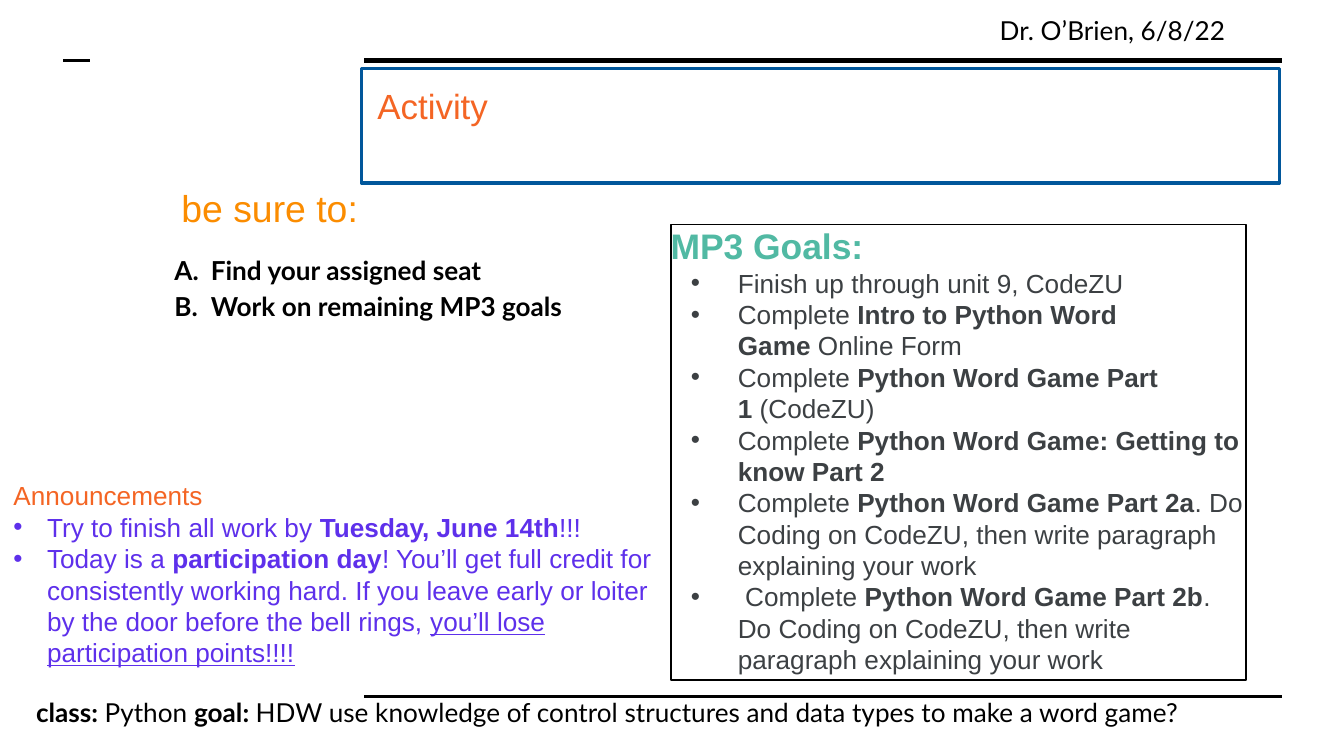
from lxml.etree import SubElement
from pptx import Presentation
from pptx.dml.color import RGBColor
from pptx.enum.shapes import MSO_CONNECTOR as Connector, MSO_SHAPE as Shape
from pptx.enum.text import MSO_ANCHOR as Anchor, PP_ALIGN as Align
from pptx.oxml.ns import qn
from pptx.util import Inches, Pt

COLORS = {
    "paper": "FFFFFF",
    "ink": "000000",
    "banner": "01579B",
    "accent": "F46524",
    "reminder": "FB8C00",
    "goals": "51B9A3",
    "body": "3C4043",
    "notice": "5E30EB",
}
NBSP = chr(160)


def color(name):
    """Return the palette colour as an RGB value."""
    return RGBColor.from_string(COLORS[name])


def add_marker(paragraph, indent, hang, marker, ink):
    """Give a paragraph a hanging indent with a bullet or a letter."""
    props = paragraph._p.get_or_add_pPr()
    props.set("marL", str(Inches(indent)))
    props.set("indent", str(-Inches(hang)))
    bullet_color = SubElement(props, qn("a:buClr"))
    SubElement(bullet_color, qn("a:srgbClr"), val=COLORS[ink])
    if marker == "A.":
        SubElement(props, qn("a:buAutoNum"), type="alphaUcPeriod")
    else:
        SubElement(props, qn("a:buFont"), typeface="Arial")
        SubElement(props, qn("a:buChar"), char=marker)


def write(frame, text, size=14, font="Arial", ink="ink", bold=False,
          marker=None, indent=0, hang=0, spacing=None):
    """Append a paragraph; *...* toggles bold, _..._ underlines, ~ is a fixed space."""
    first = frame.paragraphs[0]
    paragraph = first if not first.runs else frame.add_paragraph()
    paragraph.alignment = Align.LEFT
    if marker:
        add_marker(paragraph, indent, hang, marker, ink)
    if spacing:
        paragraph.line_spacing = spacing
    for i, part in enumerate(text.replace("~", NBSP).split("*")):
        for j, piece in enumerate(part.split("_")):
            if piece:
                run = paragraph.add_run()
                run.text = piece
                run.font.size = Pt(size)
                run.font.name = font
                run.font.bold = bold or i % 2 == 1
                run.font.underline = j % 2 == 1
                run.font.color.rgb = color(ink)


def set_frame(frame, inset, wrap=True):
    """Set equal insets, top anchoring and wrapping on a text frame."""
    frame.margin_left = frame.margin_right = Inches(inset)
    frame.margin_top = frame.margin_bottom = Inches(inset)
    frame.vertical_anchor = Anchor.TOP
    frame.word_wrap = wrap
    return frame


def add_text_area(shapes, left, top, width, height, inset=0.1, wrap=True):
    """Add a text box and return its frame."""
    box = shapes.add_textbox(Inches(left), Inches(top), Inches(width), Inches(height))
    return set_frame(box.text_frame, inset, wrap)


def add_panel(shapes, left, top, width, height, outline, weight, fill=None):
    """Add an outlined rectangle."""
    panel = shapes.add_shape(Shape.RECTANGLE, Inches(left), Inches(top),
                             Inches(width), Inches(height))
    panel.shadow.inherit = False
    if fill:
        panel.fill.solid()
        panel.fill.fore_color.rgb = color(fill)
    else:
        panel.fill.background()
    panel.line.color.rgb = color(outline)
    panel.line.width = Pt(weight)
    return panel


def add_rule(shapes, left, top, width, weight):
    """Draw a horizontal rule."""
    rule = shapes.add_connector(Connector.STRAIGHT, Inches(left), Inches(top),
                                Inches(left + width), Inches(top))
    rule.line.color.rgb = color("ink")
    rule.line.width = Pt(weight)
    SubElement(rule._element.spPr, qn("a:effectLst"))


def add_page_frame(shapes, left, top, width, height):
    """Draw the rules, the class footer and the dated header."""
    rule_left, rule_width = left + 2.71, 6.83
    add_rule(shapes, rule_left, top + 0.45, rule_width, 3)
    add_rule(shapes, rule_left, top + height - 0.44, rule_width, 1.5)
    add_rule(shapes, left + 0.47, top + 0.45, 0.2, 1.5)
    footer = add_text_area(shapes, left + 0.17, top + height - 0.54, 9.35, 0.44)
    write(footer, "*class: *Python *goal: *HDW use knowledge of control structures "
                  "and data types to make a word game?", font="Lato")
    header = add_text_area(shapes, left + 7.34, top + 0.01, width - 7.44, 0.44)
    write(header, "Dr. O’Brien, 6/8/22", font="Lato")


def add_banner(shapes, left, top, width, height):
    """Group the activity heading with its frame."""
    banner = shapes.add_group_shape().shapes
    add_panel(banner, left, top, width, height, "banner", 2, fill="paper")
    heading = add_text_area(banner, left + 0.02, top + 0.02, width - 0.03, height - 0.03)
    write(heading, "Activity", size=18.7, ink="accent")


def add_reminders(shapes, left, top, width, height):
    """Place the lettered reminders under their heading."""
    heading = add_text_area(shapes, left + 0.15, top, 1.33, 0.33, inset=0, wrap=False)
    write(heading, "be sure to:", size=20, ink="reminder")
    steps = add_text_area(shapes, left, top + 0.38, width, height - 0.38)
    for step in ("Find your assigned seat", "Work on remaining MP3 goals"):
        write(steps, step, font="Lato", bold=True, marker="A.",
              indent=0.27, hang=0.27, spacing=1.15)


def add_goals(shapes, left, top, width, height):
    """Place the framed list of goals."""
    panel = add_panel(shapes, left, top, width, height, "ink", 1)
    frame = set_frame(panel.text_frame, 0)
    write(frame, "MP3 Goals:", size=19, ink="goals", bold=True)
    explain = ". Do Coding on CodeZU, then write paragraph explaining your work"
    goals = (
        "Finish up through unit 9, CodeZU",
        "Complete~*Intro to Python Word Game~*Online Form",
        "Complete~*Python Word Game Part 1*~(CodeZU)",
        "Complete~*Python Word Game: Getting to know Part 2*",
        "Complete~*Python Word Game Part 2a*" + explain,
        "~Complete~*Python Word Game Part 2b*" + explain,
    )
    for goal in goals:
        write(frame, goal, ink="body", marker="•", indent=0.5, hang=0.35)


def add_announcements(shapes, left, top, width, height):
    """Place the announcements list."""
    frame = add_text_area(shapes, left, top, width, height, inset=0)
    write(frame, "Announcements", ink="accent")
    notices = (
        "Try to finish all work by *Tuesday, June 14th*!!!",
        "Today is a *participation day*! You’ll get full credit for consistently "
        "working hard. If you leave early or loiter by the door before the bell "
        "rings, _you’ll lose participation points!!!!_",
    )
    for notice in notices:
        write(frame, notice, ink="notice", marker="•", indent=0.25, hang=0.25)


def main():
    """Build the class agenda slide."""
    deck = Presentation()
    deck.slide_width = Inches(10)
    deck.slide_height = deck.slide_width * 9 // 16
    shapes = deck.slides.add_slide(deck.slide_layouts[6]).shapes
    add_page_frame(shapes, 0, 0, 10, 5.62)
    add_banner(shapes, 2.69, 0.51, 6.83, 0.85)
    add_reminders(shapes, 1.2, 1.38, 3.27, 2.01)
    add_goals(shapes, 4.99, 1.67, 4.28, 3.39)
    add_announcements(shapes, 0.1, 3.57, 4.85, 1.33)
    deck.save("out.pptx")


if __name__ == "__main__":
    main()
